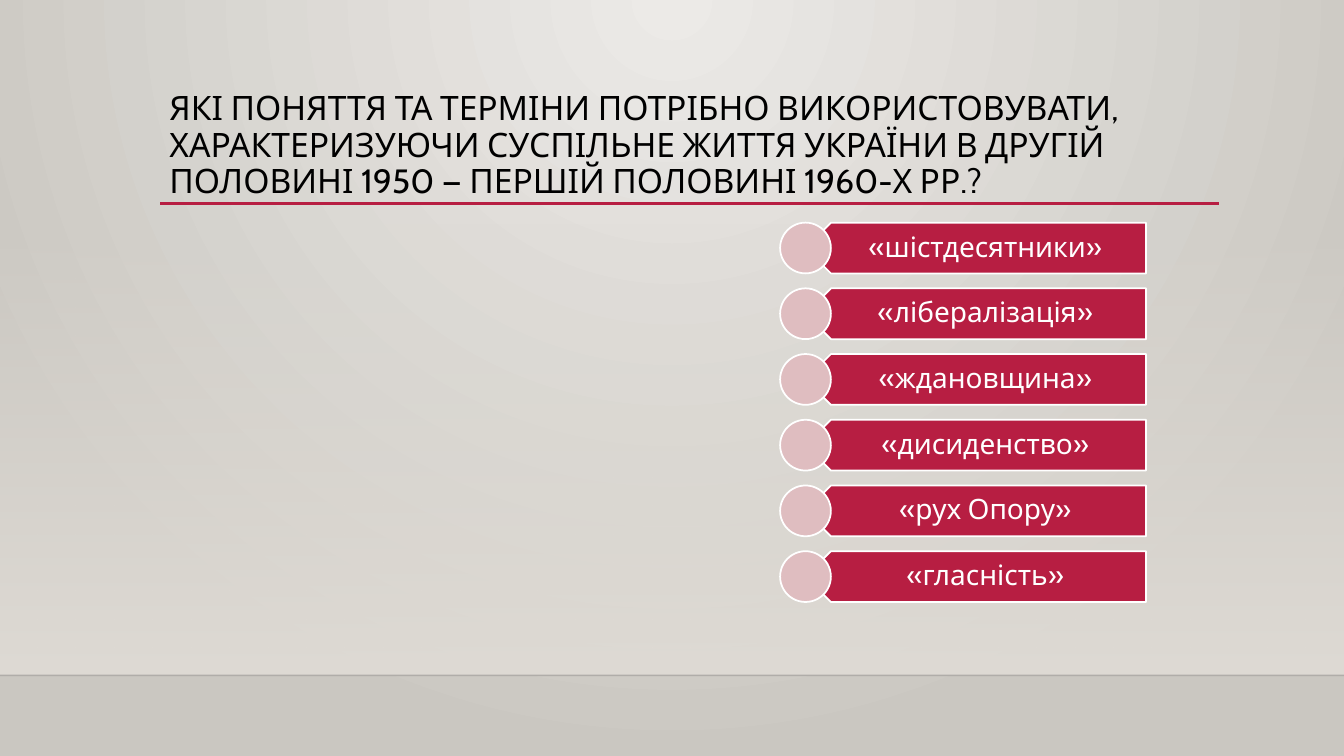
from dataclasses import dataclass

from lxml.etree import SubElement
from pptx import Presentation
from pptx.dml.color import RGBColor
from pptx.enum.shapes import MSO_CONNECTOR as Connector, MSO_SHAPE as Shape
from pptx.enum.text import MSO_ANCHOR as Anchor, PP_ALIGN as Align
from pptx.oxml.ns import qn
from pptx.util import Cm, Pt


@dataclass(frozen=True)
class Theme:
    font: str = "Cabin"
    title_size: int = 24
    term_size: int = 20
    text: str = "000000"
    accent: str = "B71E42"
    pale: str = "DFBDC0"
    white: str = "FFFFFF"
    glow: str = "ECEAE7"
    wall: str = "CAC7C1"
    panel: str = "DFDBD5"
    edge: str = "000001"


class SlideBuilder:
    def __init__(self, slide, theme):
        self.slide = slide
        self.theme = theme

    def gradient(self, fill, start, end):
        fill.gradient()
        for stop, color in zip(fill.gradient_stops, (start, end)):
            stop.color.rgb = RGBColor.from_string(color)

    def set_opacity(self, color_element, percent):
        SubElement(color_element, qn("a:alpha"), val=str(percent * 1000))

    def background(self):
        self.gradient(self.slide.background.fill, self.theme.glow, self.theme.wall)
        gradient = next(self.slide._element.iter(qn("a:gradFill")))
        gradient.remove(gradient.find(qn("a:lin")))
        circle = SubElement(gradient, qn("a:path"), path="circle")
        SubElement(circle, qn("a:fillToRect"), l="43000", t="0", r="43000", b="100000")

    def fading_panel(self, left, top, width, height):
        panel = self.shape(Shape.RECTANGLE, left, top, width, height, self.theme.panel)
        panel.line.fill.background()
        self.gradient(panel.fill, self.theme.panel, self.theme.panel)
        panel.fill.gradient_angle = 270
        self.set_opacity(next(panel._element.iter(qn("a:srgbClr"))), 0)

    def rule(self, left, right, y, color, width, opacity=100):
        line = self.slide.shapes.add_connector(
            Connector.STRAIGHT, Cm(left), Cm(y), Cm(right), Cm(y))
        line.line.color.rgb = RGBColor.from_string(color)
        line.line.width = Pt(width)
        if opacity < 100:
            self.set_opacity(next(line._element.iter(qn("a:srgbClr"))), opacity)
        SubElement(line._element.spPr, qn("a:effectLst"))

    def shape(self, kind, left, top, width, height, color):
        shape = self.slide.shapes.add_shape(
            kind, Cm(left), Cm(top), Cm(width), Cm(height))
        shape.shadow.inherit = False
        shape.fill.solid()
        shape.fill.fore_color.rgb = RGBColor.from_string(color)
        shape.line.color.rgb = RGBColor.from_string(self.theme.white)
        shape.line.width = Pt(1.25)
        return shape

    def text(self, words, left, top, width, height, size, color, anchor, align,
             insets=(0.25, 0.13, 0.25, 0.13)):
        box = self.slide.shapes.add_textbox(Cm(left), Cm(top), Cm(width), Cm(height))
        frame = box.text_frame
        frame.word_wrap = True
        frame.vertical_anchor = anchor
        (frame.margin_left, frame.margin_top,
         frame.margin_right, frame.margin_bottom) = map(Cm, insets)
        paragraph = frame.paragraphs[0]
        paragraph.alignment = align
        paragraph.line_spacing = 0.9
        run = paragraph.add_run()
        run.text = words
        run.font.name = self.theme.font
        run.font.size = Pt(size)
        run.font.color.rgb = RGBColor.from_string(color)

    def term(self, words, top, height):
        theme = self.theme
        arrow = self.shape(Shape.PENTAGON, 20.3, top, 8.58, height, theme.accent)
        arrow.rotation = 180
        self.text(words, 20.62, top, 8.26, height, theme.term_size, theme.white,
                  Anchor.MIDDLE, Align.CENTER, (0.56, 0.2, 0.4, 0.2))
        self.shape(Shape.OVAL, 19.66, top, height, height, theme.pale)


TITLE = ("ЯКІ ПОНЯТТЯ ТА ТЕРМІНИ ПОТРІБНО ВИКОРИСТОВУВАТИ, ХАРАКТЕРИЗУЮЧИ "
         "СУСПІЛЬНЕ ЖИТТЯ УКРАЇНИ В ДРУГІЙ ПОЛОВИНІ 1950 — ПЕРШІЙ ПОЛОВИНІ "
         "1960-Х РР.?")
TERMS = ["«шістдесятники»", "«лібералізація»", "«ждановщина»",
         "«дисиденство»", "«рух Опору»", "«гласність»"]
SLIDE_WIDTH, SLIDE_HEIGHT = 33.87, 19.05
FLOOR = 17.02
FIRST_TERM, LAST_TERM, TERM_HEIGHT = 5.61, 13.89, 1.28


def main():
    presentation = Presentation()
    presentation.slide_width = Cm(SLIDE_WIDTH)
    presentation.slide_height = Cm(SLIDE_HEIGHT)
    theme = Theme()
    builder = SlideBuilder(
        presentation.slides.add_slide(presentation.slide_layouts[6]), theme)

    # Wall and floor
    builder.background()
    builder.fading_panel(0, FIRST_TERM, SLIDE_WIDTH, FLOOR - FIRST_TERM)
    builder.rule(0, SLIDE_WIDTH, FLOOR, theme.edge, 1, opacity=20)

    # Title with its underline
    builder.rule(4.04, 30.73, 5.13, theme.accent, 2.5)
    builder.text(TITLE, 4.02, 2.24, 26.67, 2.95, theme.title_size, theme.text,
                 Anchor.BOTTOM, Align.LEFT)

    # Terms, evenly spaced
    step = (LAST_TERM - FIRST_TERM) / (len(TERMS) - 1)
    for index, words in enumerate(TERMS):
        builder.term(words, FIRST_TERM + index * step, TERM_HEIGHT)

    presentation.save("out.pptx")


if __name__ == "__main__":
    main()
